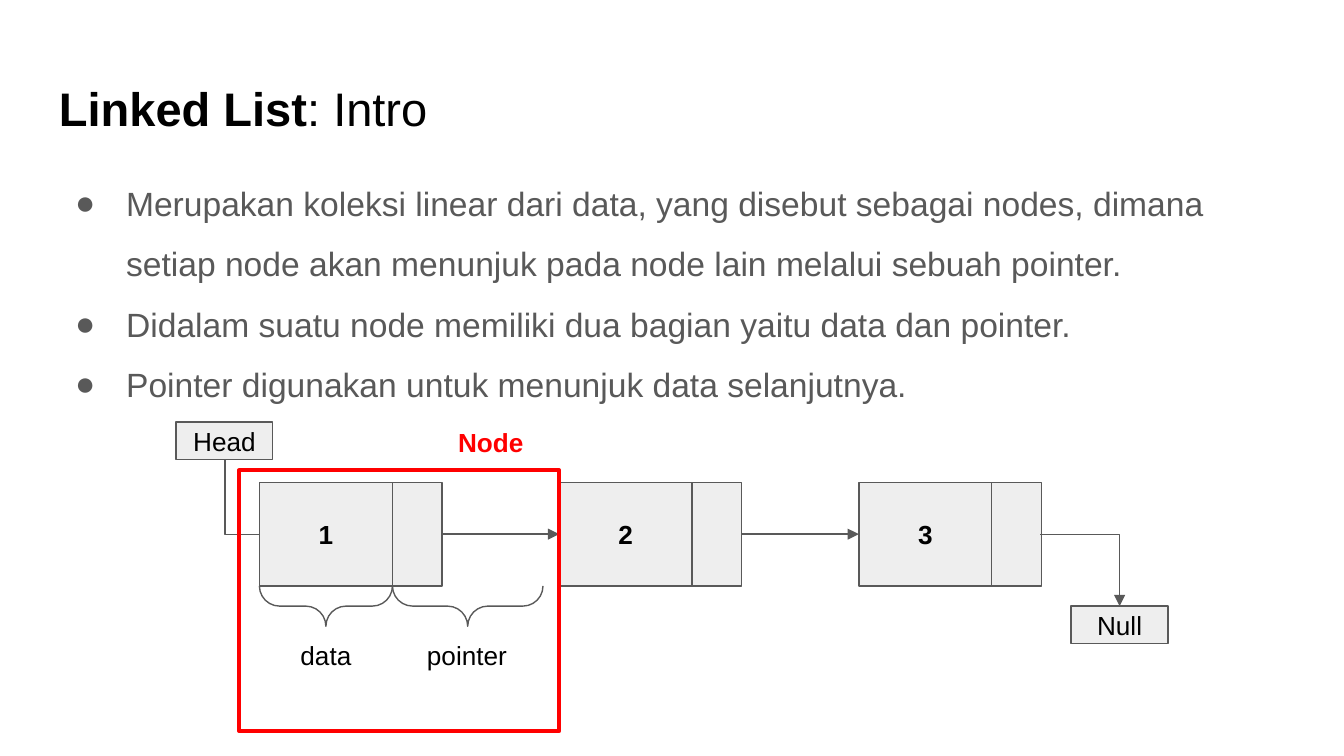
from dataclasses import dataclass

from lxml import etree
from pptx import Presentation
from pptx.dml.color import RGBColor
from pptx.enum.shapes import MSO_CONNECTOR, MSO_SHAPE
from pptx.enum.text import MSO_ANCHOR, PP_ALIGN
from pptx.oxml.ns import qn
from pptx.util import Inches, Pt

RECT, BRACE = MSO_SHAPE.RECTANGLE, MSO_SHAPE.LEFT_BRACE
ELBOW = MSO_CONNECTOR.ELBOW
MIDDLE, TOP = MSO_ANCHOR.MIDDLE, MSO_ANCHOR.TOP
CENTER, LEFT = PP_ALIGN.CENTER, PP_ALIGN.LEFT


@dataclass(frozen=True)
class Theme:
    """Colours, font and type sizes."""
    font: str = "Arial"
    ink: str = "000000"
    gray: str = "595959"
    pale: str = "EEEEEE"
    red: str = "FF0000"
    title: float = 25.2
    body: float = 18
    label: float = 14
    thin: float = 0.75
    thick: float = 2.25


class Painter:
    """Draws styled elements on one slide."""

    def __init__(self, slide, theme):
        """Keep the slide and its theme."""
        self.slide, self.theme = slide, theme

    def style(self, para, size, color, bold=None, align=LEFT):
        """Set the font and alignment of a paragraph."""
        para.alignment = align
        font = para.font
        font.name, font.size, font.bold = self.theme.font, Pt(size), bold
        font.color.rgb = RGBColor.from_string(color)

    def frame(self, x, y, w, h):
        """Add a wrapping text box and return its frame."""
        box = self.slide.shapes.add_textbox(*map(Inches, (x, y, w, h)))
        return self.inset(box.text_frame, TOP)

    def inset(self, frame, anchor):
        """Set wrapping, margins and anchor of a frame."""
        frame.word_wrap, frame.vertical_anchor = True, anchor
        frame.margin_left = frame.margin_right = Inches(0.1)
        frame.margin_top = frame.margin_bottom = Inches(0.1)
        return frame

    def title(self, x, y, w, h, head, tail):
        """Add a title with a bold start."""
        para = self.frame(x, y, w, h).paragraphs[0]
        self.style(para, self.theme.title, self.theme.ink)
        for text, bold in ((head, True), (tail, False)):
            run = para.add_run()
            run.text, run.font.bold = text, bold

    def bullets(self, x, y, w, h, items):
        """Add a bulleted list."""
        frame = self.frame(x, y, w, h)
        frame.text = "\n".join(items)
        for para in frame.paragraphs:
            para.line_spacing = 1.5
            props = para._p.get_or_add_pPr()
            props.set("marL", str(Inches(0.5)))
            props.set("indent", str(Inches(-0.38)))
            tint = etree.SubElement(props, qn("a:buClr"))
            etree.SubElement(tint, qn("a:srgbClr"), val=self.theme.gray)
            etree.SubElement(props, qn("a:buFont"), typeface=self.theme.font)
            etree.SubElement(props, qn("a:buChar"), char="●")
            self.style(para, self.theme.body, self.theme.gray)

    def label(self, x, y, w, text, color, bold=None, align=CENTER):
        """Add a short caption."""
        frame = self.frame(x, y, w, 0.44)
        frame.text = text
        self.style(frame.paragraphs[0], self.theme.label, color, bold, align)

    def shape(self, kind, x, y, w, h, line, width, fill=None):
        """Add an outlined shape, filled on request."""
        item = self.slide.shapes.add_shape(kind, *map(Inches, (x, y, w, h)))
        item.shadow.inherit = False
        item.line.color.rgb = RGBColor.from_string(line)
        item.line.width = Pt(width)
        if fill:
            item.fill.solid()
            item.fill.fore_color.rgb = RGBColor.from_string(fill)
        else:
            item.fill.background()
        return item

    def box(self, x, y, w, h, text="", bold=None):
        """Add a pale box with centred text."""
        look = self.theme
        item = self.shape(RECT, x, y, w, h, look.gray, look.thin, look.pale)
        if text:
            frame = self.inset(item.text_frame, MIDDLE)
            frame.text = text
            self.style(frame.paragraphs[0], look.label, look.ink, bold, CENTER)

    def brace(self, x, y, w, h):
        """Add a brace that opens upward."""
        left, top = x + (w - h) / 2, y + (h - w) / 2
        item = self.shape(BRACE, left, top, h, w, self.theme.gray, self.theme.thin)
        item.rotation = 270
        item.adjustments[0] = item.adjustments[1] = 0.5

    def link(self, start, end, kind="bentConnector3", turn=0, arrow=True):
        """Add an elbow connector, turned by some degrees."""
        item = self.slide.shapes.add_connector(ELBOW, *map(Inches, start + end))
        item.line.color.rgb = RGBColor.from_string(self.theme.gray)
        item.line.width = Pt(self.theme.thin)
        props = item._element.spPr
        props.find(qn("a:prstGeom")).set("prst", kind)
        if turn:
            props.find(qn("a:xfrm")).set("rot", str(turn * 60000))
        if arrow:
            etree.SubElement(props.find(qn("a:ln")), qn("a:tailEnd"), type="triangle")
        etree.SubElement(props, qn("a:effectLst"))


def main():
    """Build and save the slide."""
    deck = Presentation()
    deck.slide_width, deck.slide_height = Inches(10), Inches(10 * 9 / 16)
    look = Theme()
    art = Painter(deck.slides.add_slide(deck.slide_layouts[6]), look)

    art.title(0.34, 0.49, 9.32, 0.63, "Linked List", ": Intro")
    art.bullets(0.34, 1.11, 9.32, 3.74, (
        "Merupakan koleksi linear dari data, yang disebut sebagai nodes, dimana "
        "setiap node akan menunjuk pada node lain melalui sebuah pointer.",
        "Didalam suatu node memiliki dua bagian yaitu data dan pointer.",
        "Pointer digunakan untuk menunjuk data selanjutnya.",
    ))

    left, top, step, data, ptr, tall = 1.93, 3.59, 2.23, 0.99, 0.37, 0.77
    mid = top + tall / 2
    for i in range(3):
        x = left + i * step
        art.box(x, top, data, tall, str(i + 1), True)
        art.box(x + data, top, ptr, tall)
        if i < 2:
            art.link((x + data + ptr, mid), (x + step, mid))

    art.box(1.31, 3.14, 0.72, 0.28, "Head")
    art.link((2.08, 3.57), (1.53, 3.83), "bentConnector2", 270, False)
    art.box(7.97, 4.51, 0.72, 0.28, "Null")
    art.link((7.74, mid), (8.33, 4.51), "bentConnector2")

    art.brace(left, top + tall, data, 0.3)
    art.brace(left + data, top + tall, 1.12, 0.3)
    art.label(2.13, 4.66, 0.59, "data", look.ink)
    art.label(3.04, 4.66, 0.87, "pointer", look.ink)
    art.shape(RECT, 1.78, 3.5, 2.38, 1.94, look.red, look.thick)
    art.label(3.31, 3.07, 0.83, "Node", look.red, True, LEFT)

    deck.save("out.pptx")


if __name__ == "__main__":
    main()
